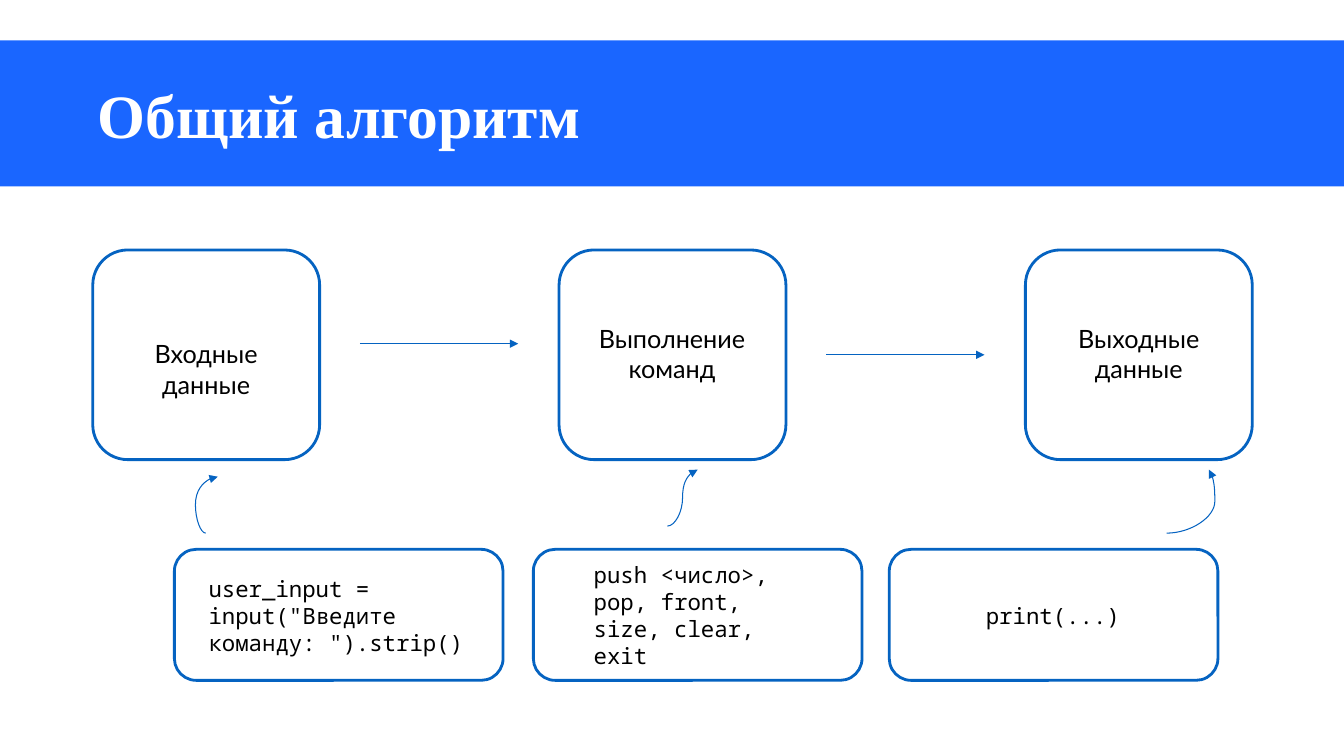
from pptx import Presentation
from pptx.dml.color import RGBColor
from pptx.enum import shapes, text
from pptx.oxml.ns import qn
from pptx.util import Inches, Pt

BLUE, BANNER, WHITE, BLACK = "0563C1", "1A66FF", "FFFFFF", "000000"
SLIDE_WIDTH, SLIDE_HEIGHT = 13.33, 7.5

TITLE = "Общий алгоритм"

# (text, text left, top, width, height)
STAGES = [
    ("Входные данные", 0.98, 3.31, 2.13, 0.41),
    ("Выполнение команд", 5.79, 3.16, 1.75, 0.71),
    ("Выходные данные", 10.51, 3.16, 1.57, 0.71),
]
STAGE_LEFT, STAGE_TOP, STAGE_STEP = 0.92, 2.48, 4.625
STAGE_WIDTH, STAGE_HEIGHT = 2.25, 2.08

# (box left, text, text left, top, width, height, wraps)
CODE = [
    (1.73, 'user_input = input("Введите команду: ").strip()',
     1.97, 5.66, 2.77, 0.9, True),
    (5.29, "push <число>, pop, front, size, clear, exit",
     5.79, 5.52, 2.25, 1.16, True),
    (8.82, "print(...)", 9.68, 5.92, 1.53, 0.36, False),
]
CODE_TOP, CODE_WIDTH, CODE_HEIGHT = 5.45, 3.26, 1.3

STAGE_ARROW_HEIGHTS = [3.41, 3.52]
ARROW_GAP, ARROW_LENGTH = 0.4, 1.57

# (start x, start y, end x, end y, bend as a share of the width)
CURVES = [
    (2.04, 5.29, 2.16, 4.73, -0.85),
    (6.62, 5.22, 6.92, 4.66, 0.5),
    (11.57, 5.29, 11.99, 4.66, 1.14),
]


def color(value):
    return RGBColor.from_string(value)


def add_box(slide, kind, left, top, width, height, fill, line=None):
    shape = slide.shapes.add_shape(
        kind, Inches(left), Inches(top), Inches(width), Inches(height))
    shape.shadow.inherit = False
    shape.fill.solid()
    shape.fill.fore_color.rgb = color(fill)
    if line:
        shape.line.color.rgb = color(line)
        shape.line.width = Pt(2)
    else:
        shape.line.fill.background()


def add_label(slide, content, left, top, width, height, font, size,
              ink=BLACK, centred=False, wraps=True):
    shape = slide.shapes.add_textbox(
        Inches(left), Inches(top), Inches(width), Inches(height))
    frame = shape.text_frame
    frame.text = content
    frame.word_wrap = wraps
    frame.auto_size = text.MSO_AUTO_SIZE.SHAPE_TO_FIT_TEXT
    paragraph = frame.paragraphs[0]
    paragraph.alignment = text.PP_ALIGN.CENTER if centred else text.PP_ALIGN.LEFT
    run_font = paragraph.runs[0].font
    run_font.name = font
    run_font.size = Pt(size)
    run_font.color.rgb = color(ink)
    return shape


def add_arrow(slide, kind, start_x, start_y, end_x, end_y):
    arrow = slide.shapes.add_connector(
        kind, Inches(start_x), Inches(start_y), Inches(end_x), Inches(end_y))
    arrow.line.color.rgb = color(BLUE)
    arrow.line.width = Pt(0.75)
    line = arrow.line._get_or_add_ln()
    line.append(line.makeelement(qn("a:tailEnd"), {"type": "triangle"}))
    properties = arrow._element.spPr
    properties.append(properties.makeelement(qn("a:effectLst"), {}))
    return arrow


def bend(arrow, share):
    """Set where the middle of a curved connector lies."""
    adjustments = arrow._element.spPr.find(qn("a:prstGeom")).get_or_add_avLst()
    adjustments.append(adjustments.makeelement(
        qn("a:gd"), {"name": "adj1", "fmla": f"val {round(share * 100000)}"}))


def add_title(slide):
    add_box(slide, shapes.MSO_SHAPE.RECTANGLE, 0, 0.4, SLIDE_WIDTH, 1.45, BANNER)
    title = add_label(slide, TITLE, 0.92, 0.4, 11.5, 1.45,
                      "Times New Roman", 44, WHITE)
    frame = title.text_frame
    frame.auto_size = text.MSO_AUTO_SIZE.NONE
    frame.vertical_anchor = text.MSO_ANCHOR.MIDDLE
    frame.margin_left = frame.margin_right = Inches(0.05)
    frame.margin_top = frame.margin_bottom = Inches(0.05)
    frame.paragraphs[0].runs[0].font.bold = True


def main():
    presentation = Presentation()
    presentation.slide_width = Inches(SLIDE_WIDTH)
    presentation.slide_height = Inches(SLIDE_HEIGHT)
    slide = presentation.slides.add_slide(presentation.slide_layouts[6])
    rounded = shapes.MSO_SHAPE.ROUNDED_RECTANGLE

    add_title(slide)

    for index, (content, *place) in enumerate(STAGES):
        add_box(slide, rounded, STAGE_LEFT + index * STAGE_STEP, STAGE_TOP,
                STAGE_WIDTH, STAGE_HEIGHT, WHITE, BLUE)
        add_label(slide, content, *place, "Lato", 18, centred=True)

    for index, height in enumerate(STAGE_ARROW_HEIGHTS):
        start = STAGE_LEFT + index * STAGE_STEP + STAGE_WIDTH + ARROW_GAP
        add_arrow(slide, shapes.MSO_CONNECTOR.STRAIGHT,
                  start, height, start + ARROW_LENGTH, height)

    for box_left, content, *place, wraps in CODE:
        add_box(slide, rounded, box_left, CODE_TOP, CODE_WIDTH, CODE_HEIGHT,
                WHITE, BLUE)
        add_label(slide, content, *place, "Noto Sans Mono", 16, wraps=wraps)

    for *ends, share in CURVES:
        bend(add_arrow(slide, shapes.MSO_CONNECTOR.CURVE, *ends), share)

    presentation.save("out.pptx")


if __name__ == "__main__":
    main()
